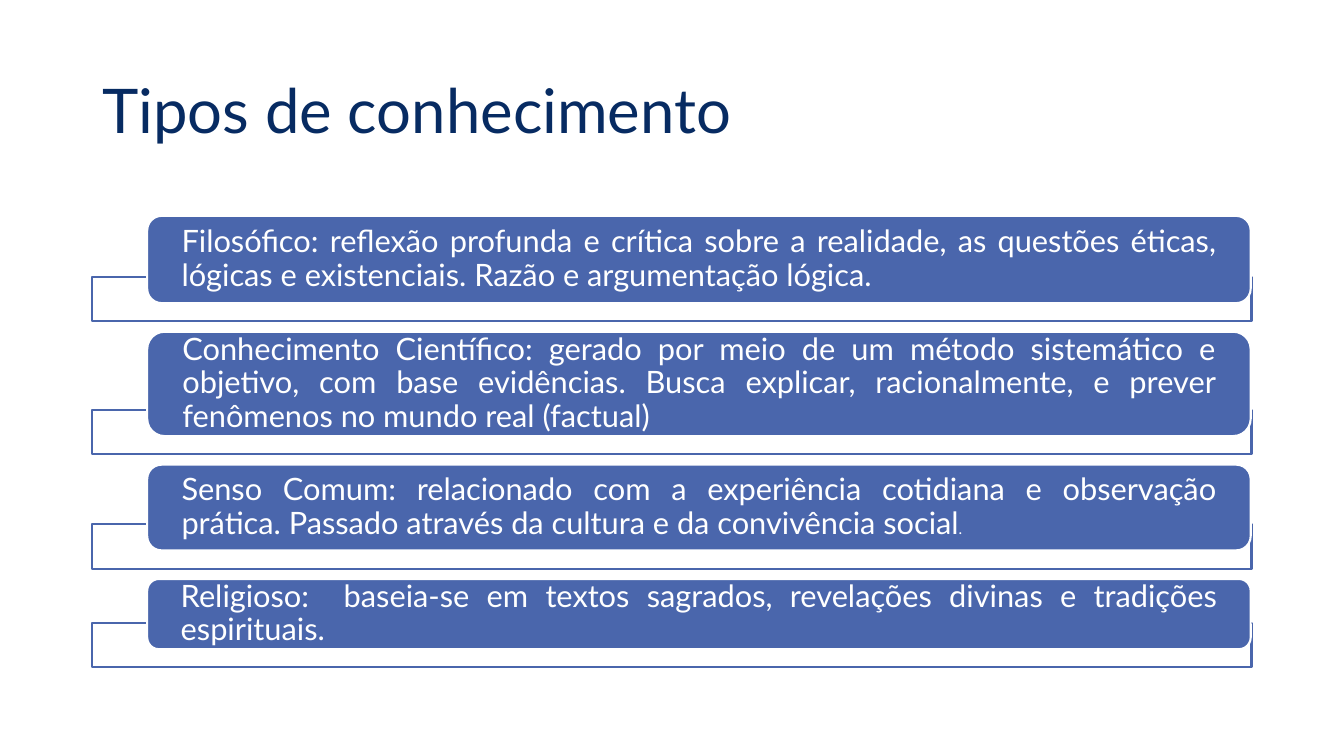
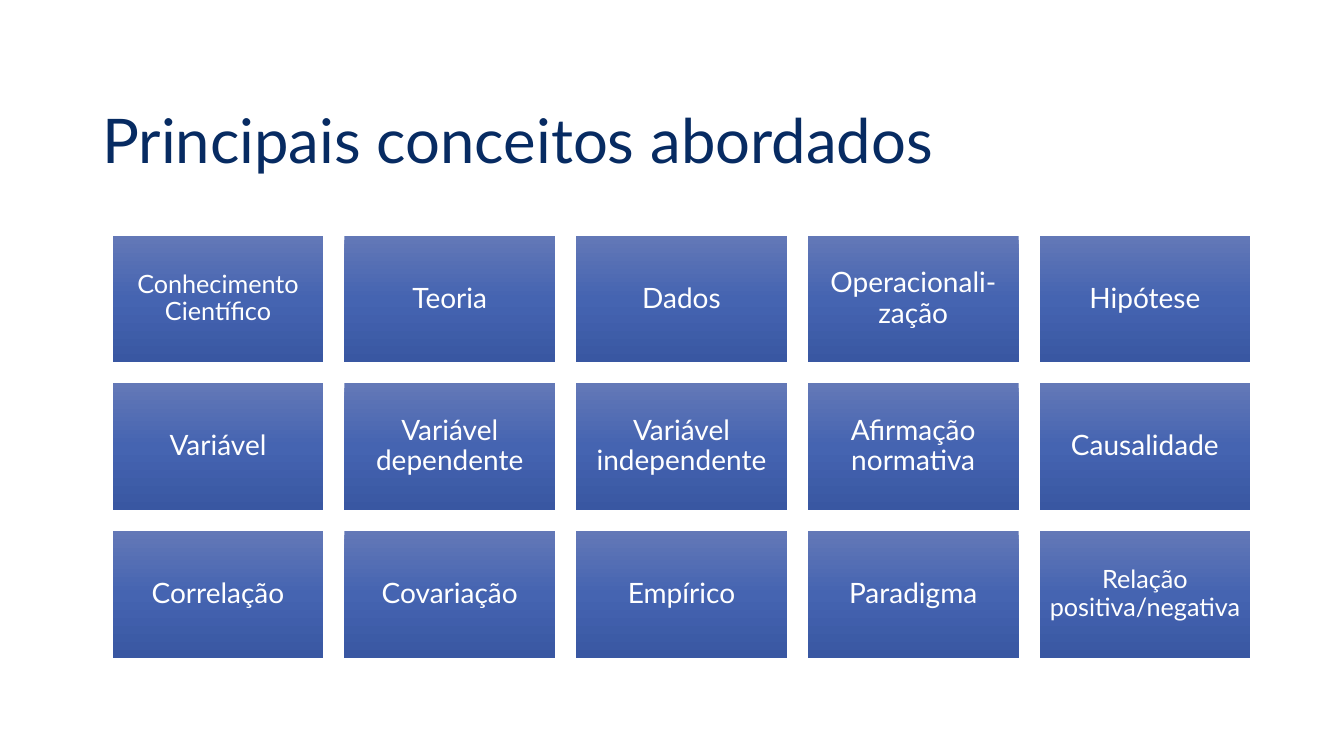
from copy import deepcopy
from dataclasses import dataclass

from lxml.etree import SubElement
from pptx import Presentation
from pptx.dml.color import RGBColor
from pptx.enum.shapes import MSO_SHAPE
from pptx.enum.text import MSO_ANCHOR, MSO_AUTO_SIZE, PP_ALIGN
from pptx.oxml.ns import qn
from pptx.presentation import Presentation as Deck
from pptx.shapes.autoshape import Shape
from pptx.slide import Slide
from pptx.util import Cm, Pt


@dataclass(frozen=True)
class Theme:
    """Colours, font and type sizes of the deck."""
    font: str = "Lato"
    navy: str = "072B62"
    blue: str = "4A66AC"
    white: str = "FFFFFF"
    shades: tuple[tuple[float, str], ...] = ((0, "6378B7"), (0.5, "4564B1"), (1, "3957A2"))
    head: int = 44
    body: int = 22
    tile: int = 20
    small: int = 18
    tiny: int = 11
    rule: float = 1.5


@dataclass(frozen=True)
class Box:
    """Place of a shape in centimetres."""
    left: float
    top: float
    width: float
    height: float


@dataclass(frozen=True)
class Card:
    """One kind of knowledge, with an optional tiny ending."""
    height: float
    text: str
    tail: str = ""


@dataclass(frozen=True)
class Tile:
    """One concept in the grid."""
    text: str
    size: int = Theme.tile


THEME = Theme()

CARDS = (
    Card(2.2, "Filosófico: reflexão profunda e crítica sobre a realidade, as questões "
              "éticas, lógicas e existenciais. Razão e argumentação lógica."),
    Card(2.63, "Conhecimento Científico: gerado por meio de um método sistemático e "
               "objetivo, com base evidências. Busca explicar, racionalmente, e prever "
               "fenômenos no mundo real (factual)"),
    Card(2.16, "Senso Comum: relacionado com a experiência cotidiana e observação "
               "prática. Passado através da cultura e da convivência social", "."),
    Card(1.77, "Religioso:  baseia-se em textos sagrados, revelações divinas e tradições "
               "espirituais."),
)

TILES = (
    Tile("Conhecimento Científico", THEME.small),
    Tile("Teoria"),
    Tile("Dados"),
    Tile("Operacionali-zação"),
    Tile("Hipótese"),
    Tile("Variável"),
    Tile("Variável dependente"),
    Tile("Variável independente"),
    Tile("Afirmação normativa"),
    Tile("Causalidade"),
    Tile("Correlação"),
    Tile("Covariação"),
    Tile("Empírico"),
    Tile("Paradigma"),
    Tile("Relação positiva/negativa", THEME.small),
)


def tint(code: str) -> RGBColor:
    """Turn a hex code into a colour."""
    return RGBColor.from_string(code)


def write(shape: Shape, text: str, *, size: int, color: str = THEME.white,
          align: PP_ALIGN = PP_ALIGN.LEFT, pad: tuple[float, float] = (0.25, 0.13),
          tail: str = "") -> None:
    """Fill a shape with one formatted paragraph."""
    frame = shape.text_frame
    frame.word_wrap = True
    frame.auto_size = MSO_AUTO_SIZE.NONE
    frame.vertical_anchor = MSO_ANCHOR.MIDDLE
    frame.margin_left = frame.margin_right = Cm(pad[0])
    frame.margin_top = frame.margin_bottom = Cm(pad[1])
    para = frame.paragraphs[0]
    para.alignment = align
    para.line_spacing = 0.9
    for part, points in ((text, size), (tail, THEME.tiny)):
        if part:
            run = para.add_run()
            run.text = part
            run.font.name = THEME.font
            run.font.size = Pt(points)
            run.font.color.rgb = tint(color)


def draw(slide: Slide, kind: MSO_SHAPE, box: Box, *, fill: str | None = None,
         line: str | None = None, alpha: int = 100) -> Shape:
    """Add a shape with a plain fill, or the shaded one if no fill is given."""
    shape = slide.shapes.add_shape(kind, Cm(box.left), Cm(box.top),
                                   Cm(box.width), Cm(box.height))
    shape.shadow.inherit = False
    if fill:
        shape.fill.solid()
        shape.fill.fore_color.rgb = tint(fill)
    else:
        shade(shape)
    if alpha < 100:
        color = shape.element.spPr.find(qn("a:solidFill"))[0]
        SubElement(color, qn("a:alpha"), val=str(alpha * 1000))
    if line:
        shape.line.color.rgb = tint(line)
        shape.line.width = Pt(THEME.rule)
    else:
        shape.line.fill.background()
    return shape


def shade(shape: Shape) -> None:
    """Give a shape the downward three-stop gradient."""
    shape.fill.gradient()
    shape.fill.gradient_angle = 270
    stops = shape.element.spPr.find(".//" + qn("a:gsLst"))
    stops.append(deepcopy(stops[0]))
    for stop, (place, code) in zip(shape.fill.gradient_stops, THEME.shades):
        stop.position = place
        stop.color.rgb = tint(code)


def start(deck: Deck, text: str, box: Box) -> Slide:
    """Add a slide with its title."""
    slide = deck.slides.add_slide(deck.slide_layouts[5])
    title = slide.shapes.title
    title.left, title.top = Cm(box.left), Cm(box.top)
    title.width, title.height = Cm(box.width), Cm(box.height)
    write(title, text, size=THEME.head, color=THEME.navy)
    return slide


def stack(slide: Slide, cards: tuple[Card, ...]) -> None:
    """Draw cards down the slide, each over the tray at its foot."""
    top, depth, lap, gap = 5.44, 1.12, 0.66, 0.26
    for card in cards:
        foot = top + card.height - lap
        draw(slide, MSO_SHAPE.RECTANGLE, Box(2.33, foot, 29.21, depth),
             fill=THEME.white, line=THEME.blue, alpha=90)
        shape = draw(slide, MSO_SHAPE.ROUNDED_RECTANGLE,
                     Box(3.71, top, 27.81, card.height),
                     fill=THEME.blue, line=THEME.white)
        write(shape, card.text, size=THEME.body, align=PP_ALIGN.JUSTIFY,
              pad=(0.76, 0), tail=card.tail)
        top = foot + depth + gap


def grid(slide: Slide, tiles: tuple[Tile, ...], cols: int = 5) -> None:
    """Draw tiles row by row with equal gaps."""
    left, top, width, height, gap = 2.84, 5.94, 5.31, 3.19, 0.53
    for index, tile in enumerate(tiles):
        row, col = divmod(index, cols)
        box = Box(left + col * (width + gap), top + row * (height + gap), width, height)
        shape = draw(slide, MSO_SHAPE.RECTANGLE, box)
        pad = tile.size / 100
        write(shape, tile.text, size=tile.size, align=PP_ALIGN.CENTER, pad=(pad, pad))


def main() -> None:
    """Build and save the deck."""
    deck = Presentation()
    deck.slide_width, deck.slide_height = Cm(33.87), Cm(19.05)
    stack(start(deck, "Tipos de conhecimento", Box(2.33, 1.02, 29.21, 3.68)), CARDS)
    grid(start(deck, "Principais conceitos abordados", Box(2.33, 1.52, 27, 4.17)), TILES)
    deck.save("out.pptx")


if __name__ == "__main__":
    main()
